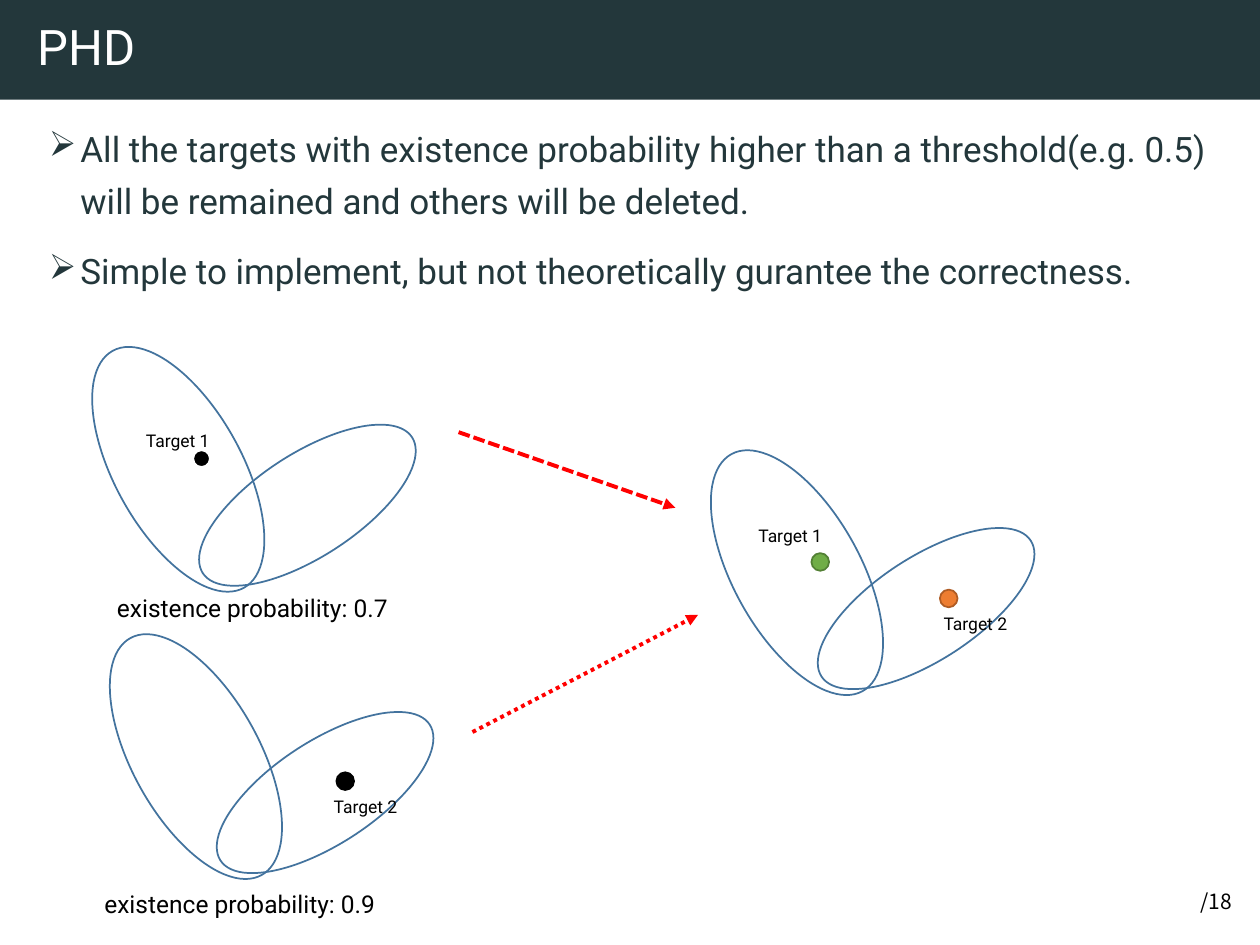
"""Build the PHD slide: two target hypotheses merging into one result."""
import pptx
import pptx.dml.color
import pptx.enum.dml
import pptx.enum.shapes
import pptx.enum.text
import pptx.oxml.ns
import pptx.util
from lxml import etree

RGB = pptx.dml.color.RGBColor
DARK = RGB(0x23, 0x37, 0x3B)
WHITE = RGB(0xFF, 0xFF, 0xFF)
BLACK = RGB(0, 0, 0)
BLUE = RGB(0x43, 0x73, 0x9E)
GREEN = RGB(0x70, 0xAD, 0x47)
DARK_GREEN = RGB(0x53, 0x80, 0x35)
ORANGE = RGB(0xED, 0x7D, 0x31)
DARK_ORANGE = RGB(0xAF, 0x5C, 0x24)
RED = RGB(0xFF, 0, 0)

SHAPE = pptx.enum.shapes.MSO_SHAPE
DASH = pptx.enum.dml.MSO_LINE
MIDDLE = pptx.enum.text.MSO_ANCHOR.MIDDLE
LEFT = pptx.enum.text.PP_ALIGN.LEFT
Pt = pptx.util.Pt

WIDTH, HEIGHT = pptx.util.Inches(10), pptx.util.Inches(7.5)
COLUMNS, ROWS = 100, 75
DOT = 1.4

BULLETS = (
    "All the targets with existence probability higher than a threshold(e.g. 0.5) "
    "will be remained and others will be deleted.",
    "Simple to implement, but not theoretically gurantee the correctness.",
)


def across(columns):
    return round(WIDTH * columns / COLUMNS)


def down(rows):
    return round(HEIGHT * rows / ROWS)


def place(left, top, width, height):
    return across(left), down(top), across(width), down(height)


def apply(target, values):
    for name, value in values.items():
        setattr(target, name, value)


def add_child(parent, tag, **attributes):
    return etree.SubElement(parent, pptx.oxml.ns.qn(tag), attributes)


def write(paragraph, words, size, color, face="Roboto"):
    span = paragraph.add_run()
    span.text = words
    apply(span.font, {"size": Pt(size), "name": face})
    span.font.color.rgb = color


def add_text(page, area, words, size, face="Roboto", **frame):
    box = page.shapes.add_textbox(*place(*area))
    apply(box.text_frame, {"word_wrap": True, **frame})
    write(box.text_frame.paragraphs[0], words, size, BLACK, face)


def add_figure(page, kind, area, fill=None, line=None, weight=1, turn=0):
    figure = page.shapes.add_shape(kind, *place(*area))
    apply(figure, {"rotation": turn})
    figure.shadow.inherit = False
    if fill is None:
        figure.fill.background()
    else:
        figure.fill.solid()
        figure.fill.fore_color.rgb = fill
    if line is None:
        figure.line.fill.background()
    else:
        figure.line.color.rgb = line
        figure.line.width = Pt(weight)
    return figure


def add_title(page):
    banner = add_figure(page, SHAPE.RECTANGLE, (0, 0, COLUMNS, 7.9), DARK)
    apply(banner.text_frame, {"vertical_anchor": MIDDLE, "margin_left": across(3)})
    paragraph = banner.text_frame.paragraphs[0]
    apply(paragraph, {"alignment": LEFT, "line_spacing": 0.9})
    write(paragraph, "PHD", 28, WHITE)


def add_bullets(page):
    box = page.shapes.add_textbox(*place(2.9, 8.8, 94.3, 57.4))
    box.text_frame.word_wrap = True
    indent = across(2.5)
    for index, words in enumerate(BULLETS):
        paragraph = box.text_frame.add_paragraph() if index else box.text_frame.paragraphs[0]
        properties = paragraph._p.get_or_add_pPr()
        apply(paragraph, {"line_spacing": 1.25, "space_before": Pt(10 if index else 0)})
        properties.set("marL", str(indent))
        properties.set("indent", str(-indent))
        add_child(properties, "a:buChar", char="➢")
        write(paragraph, words, 20, DARK)


def add_regions(page, left, top):
    """Draw the two overlapping fields of view."""
    add_figure(page, SHAPE.OVAL, (left, top, 10.1, 21.5), line=BLUE, turn=331)
    add_figure(page, SHAPE.OVAL, (left + 11.2, top + 3.7, 8.2, 19.8), line=BLUE, turn=57)


def add_target(page, name, dot, label, fill, line, weight=1):
    add_figure(page, SHAPE.OVAL, (*dot, DOT, DOT), fill, line, weight)
    add_text(page, (*label, 8.9, 2.7), name, 10)


def add_arrow(page, start, end, dash):
    arrow = page.shapes.add_connector(
        pptx.enum.shapes.MSO_CONNECTOR.STRAIGHT,
        across(start[0]), down(start[1]), across(end[0]), down(end[1]))
    arrow.line.color.rgb = RED
    apply(arrow.line, {"width": Pt(2.25), "dash_style": dash})
    add_child(arrow.get_or_add_ln(), "a:tailEnd", type="triangle")
    add_child(arrow._element.spPr, "a:effectLst")


def main():
    deck = pptx.Presentation()
    apply(deck, {"slide_width": WIDTH, "slide_height": HEIGHT})
    page = deck.slides.add_slide(deck.slide_layouts[6])
    add_text(page, (94.3, 70, 4.5, 3), "/18", 12, "Noto Sans CJK SC",
             word_wrap=False, vertical_anchor=MIDDLE)
    add_title(page)
    add_bullets(page)
    for corner in ((9.1, 26.5), (10.5, 49.3), (58.2, 34.7)):
        add_regions(page, *corner)
    add_target(page, "Target 1", (15.3, 35.7), (10.6, 33.6), BLACK, WHITE, 1.5)
    add_target(page, "Target 2", (26.7, 61.3), (25.5, 62.7), BLACK, BLACK)
    add_target(page, "Target 1", (64.4, 43.9), (59.2, 41.2), GREEN, DARK_GREEN)
    add_target(page, "Target 2", (74.6, 46.8), (73.9, 48.2), ORANGE, DARK_ORANGE)
    for left, top, chance in ((8.3, 46.6, 0.7), (7.3, 70.1, 0.9)):
        add_text(page, (left, top, 25.3, 3.4), f"existence probability: {chance}", 14)
    add_arrow(page, (36.4, 34.3), (53.6, 40.3), DASH.SQUARE_DOT)
    add_arrow(page, (37.5, 58.1), (55.4, 48.8), DASH.ROUND_DOT)
    deck.save("out.pptx")


if __name__ == "__main__":
    main()
